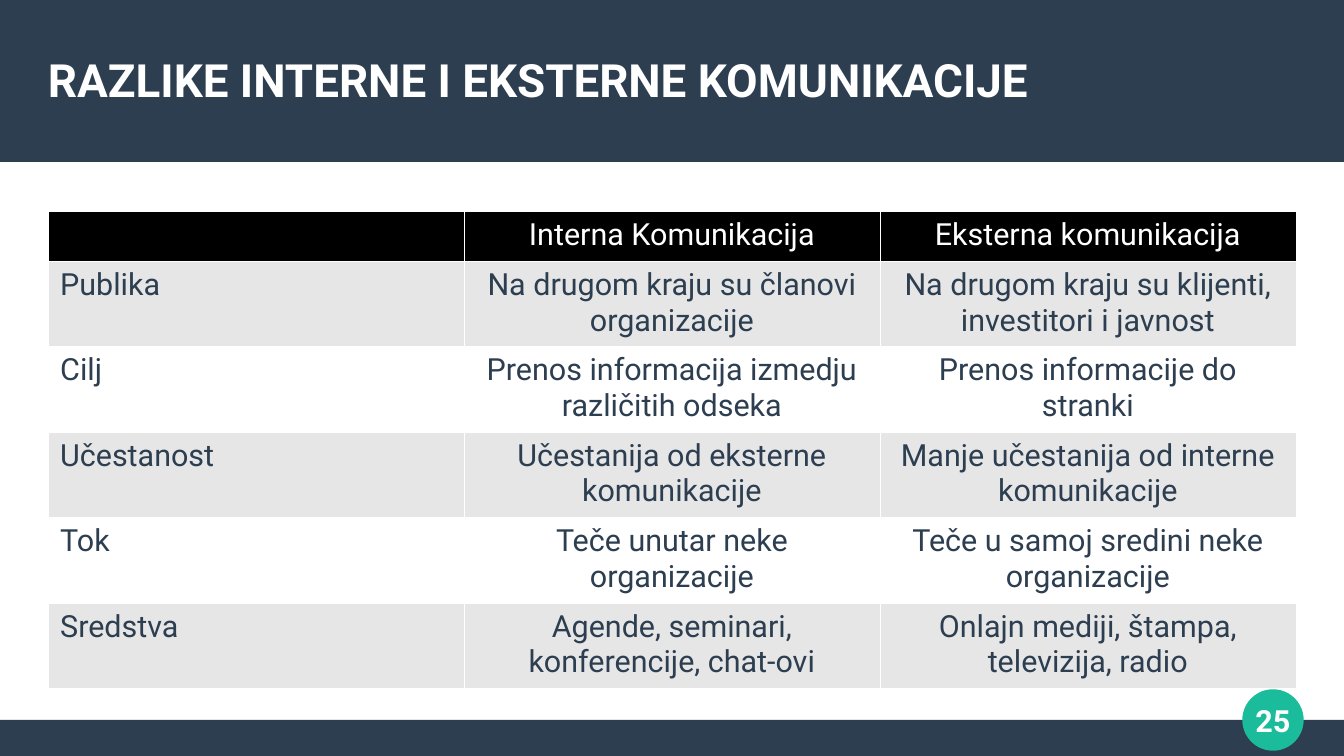
from dataclasses import dataclass

from lxml import etree
from pptx import Presentation, util as u
from pptx.dml.color import RGBColor
from pptx.enum import shapes, text
from pptx.oxml import ns

PX = 914400 / 122
WIDTH, HEIGHT = 1344, 756


@dataclass(frozen=True)
class Theme:
    font: str = "Roboto"
    navy: str = "2C3E50"
    accent: str = "1ABC9C"
    white: str = "FFFFFF"
    header: str = "000000"
    band: str = "E6E6E6"
    title_size: int = 27
    body_size: int = 18


THEME = Theme()
LEFT, CENTER = text.PP_ALIGN.LEFT, text.PP_ALIGN.CENTER

COMPARISON = [
    ("", "Interna Komunikacija", "Eksterna komunikacija"),
    ("Publika", "Na drugom kraju su članovi organizacije",
     "Na drugom kraju su klijenti, investitori i javnost"),
    ("Cilj", "Prenos informacija izmedju različitih odseka",
     "Prenos informacije do stranki"),
    ("Učestanost", "Učestanija od eksterne komunikacije",
     "Manje učestanija od interne komunikacije"),
    ("Tok", "Teče unutar neke organizacije",
     "Teče u samoj sredini neke organizacije"),
    ("Sredstva", "Agende, seminari, konferencije, chat-ovi",
     "Onlajn mediji, štampa, televizija, radio"),
]


def px(length):
    return u.Emu(round(length * PX))


def color(value):
    return RGBColor.from_string(value)


def write(frame, words, size=THEME.body_size, fill=THEME.white, bold=False, align=LEFT):
    para = frame.paragraphs[0]
    para.alignment = align
    span = para.add_run()
    span.text = words
    span.font.name = THEME.font
    span.font.size = u.Pt(size)
    span.font.bold = bold
    span.font.color.rgb = color(fill)


def add_label(page, box, words, **style):
    """Add a vertically centred text box without margins."""
    frame = page.shapes.add_textbox(*map(px, box)).text_frame
    frame.word_wrap = True
    frame.vertical_anchor = text.MSO_ANCHOR.MIDDLE
    frame.margin_left = frame.margin_top = frame.margin_right = frame.margin_bottom = 0
    write(frame, words, **style)


def add_solid(page, kind, box, fill):
    shape = page.shapes.add_shape(kind, *map(px, box))
    shape.shadow.inherit = False
    shape.fill.solid()
    shape.fill.fore_color.rgb = color(fill)
    shape.line.fill.background()
    return shape


def add_header(page, box, title):
    left, top, width, height = box
    add_solid(page, shapes.MSO_SHAPE.RECTANGLE, box, THEME.navy)
    add_label(page, (left + 48, top + 31, width - 96, 96), title,
              size=THEME.title_size, bold=True)


def add_footer(page, box, number):
    left, top, width, height = box
    add_solid(page, shapes.MSO_SHAPE.RECTANGLE, box, THEME.navy)
    badge = (left + width - 101, top - 30, 60, 60)
    circle = add_solid(page, shapes.MSO_SHAPE.OVAL, badge, THEME.accent)
    circle.line.color.rgb = color(THEME.accent)
    circle.line.width = u.Pt(0.85)
    add_label(page, badge, number, bold=True, align=CENTER)


def set_borders(cell):
    """Draw thin white lines on all four sides of a cell."""
    properties = cell._tc.get_or_add_tcPr()
    for index, side in enumerate(("lnL", "lnR", "lnT", "lnB")):
        line = etree.Element(ns.qn(f"a:{side}"), w=str(u.Pt(0.06)))
        fill = etree.SubElement(line, ns.qn("a:solidFill"))
        etree.SubElement(fill, ns.qn("a:srgbClr"), val=THEME.white)
        properties.insert(index, line)


def add_comparison(page, box, rows, header_height=50):
    left, top, width, height = box
    columns = len(rows[0])
    table = page.shapes.add_table(len(rows), columns, *map(px, box)).table
    for column in table.columns:
        column.width = px(width / columns)
    body_height = (height - header_height) / (len(rows) - 1)
    for r, row in enumerate(rows):
        table.rows[r].height = px(body_height if r else header_height)
        background = THEME.header if r == 0 else (THEME.white, THEME.band)[r % 2]
        for c, words in enumerate(row):
            cell = table.cell(r, c)
            cell.fill.solid()
            cell.fill.fore_color.rgb = color(background)
            set_borders(cell)
            if words:
                write(cell.text_frame, words, fill=THEME.navy if r else THEME.white,
                      align=CENTER if c else LEFT)


def main():
    deck = Presentation()
    deck.slide_width, deck.slide_height = px(WIDTH), px(HEIGHT)
    page = deck.slides.add_slide(deck.slide_layouts[6])
    add_header(page, (0, 0, WIDTH, 162), "RAZLIKE INTERNE I EKSTERNE KOMUNIKACIJE")
    add_footer(page, (0, 720, WIDTH, 36), "25")
    add_comparison(page, (48, 211, 1248, 470), COMPARISON)
    deck.save("out.pptx")


if __name__ == "__main__":
    main()
